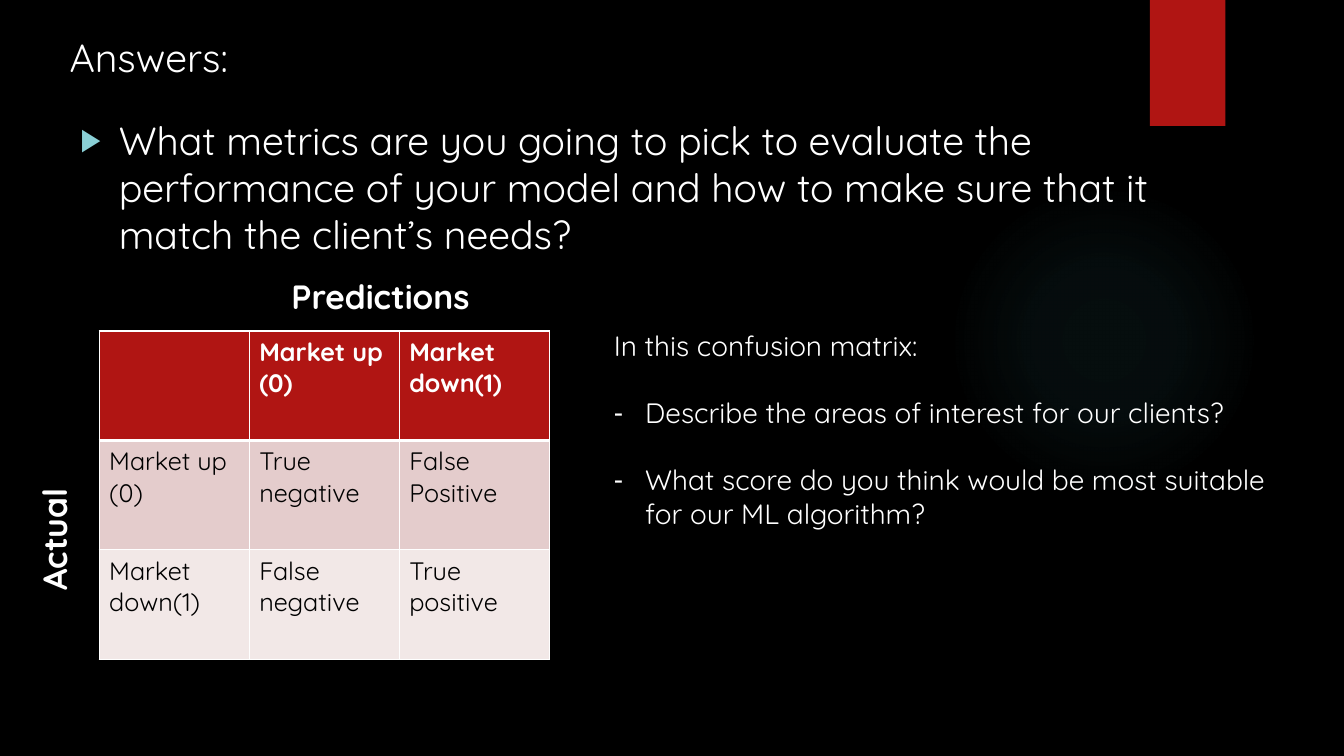
from dataclasses import dataclass

from lxml import etree
from pptx import Presentation
from pptx.dml.color import RGBColor
from pptx.enum.shapes import MSO_SHAPE
from pptx.oxml.ns import qn
from pptx.util import Inches, Pt

RECT, OVAL = MSO_SHAPE.RECTANGLE, MSO_SHAPE.OVAL
EMU = 12700


@dataclass(frozen=True)
class Theme:
    font: str = "Quicksand"
    back: str = "000000"
    ink: str = "FFFFFF"
    dark: str = "000000"
    teal: str = "50B9C1"
    red: str = "B01513"
    mark: str = "8AD0D6"
    bands: tuple = ("B01513", "E4CCCC", "F2E8E7")
    big: int = 28
    head: int = 24
    body: int = 20
    cell: int = 18


def sub(node, tag, **attrs):
    """Add a child element in the drawing namespace."""
    vals = {key: str(val) for key, val in attrs.items()}
    return etree.SubElement(node, qn("a:" + tag), vals)


class Deck:
    """Holds the style and the slide; lengths are cells of a 16 by 9 grid."""

    def __init__(self, theme):
        self.theme = theme
        self.prs = Presentation()
        self.prs.slide_width, self.prs.slide_height = Inches(13.333), Inches(7.5)
        self.slide = self.prs.slides.add_slide(self.prs.slide_layouts[6])
        self.paint(self.slide.background.fill, theme.back)

    def grid(self, x, y, w, h):
        col, row = self.prs.slide_width / 16, self.prs.slide_height / 9
        return [round(n * u) for n, u in zip((x, y, w, h), (col, row) * 2)]

    def paint(self, fill, color):
        fill.solid()
        fill.fore_color.rgb = RGBColor.from_string(color)

    def label(self, para, text, size, color=None, bold=False):
        run = para.add_run()
        run.text = text
        form = {"name": self.theme.font, "size": Pt(size), "bold": bold}
        for key, val in form.items():
            setattr(run.font, key, val)
        run.font.color.rgb = RGBColor.from_string(color or self.theme.ink)

    def shape(self, kind, box, color):
        item = self.slide.shapes.add_shape(kind, *self.grid(*box))
        item.shadow.inherit = False
        item.line.fill.background()
        self.paint(item.fill, color)
        return item

    def glow(self, box, color, stops):
        item = self.shape(OVAL, box, color)
        old = item._element.spPr.find(qn("a:solidFill"))
        grad = etree.Element(qn("a:gradFill"))
        steps = sub(grad, "gsLst")
        for pos, alpha in stops:
            tint = sub(sub(steps, "gs", pos=pos * 1000), "srgbClr", val=color)
            sub(tint, "alpha", val=alpha * 1000)
        mid = {side: 50000 for side in "ltrb"}
        sub(sub(grad, "path", path="circle"), "fillToRect", **mid)
        old.getparent().replace(old, grad)

    def bullet(self, para, sign, indent, color=None, scale=100):
        props = para._p.get_or_add_pPr()
        props.set("marL", str(Inches(indent)))
        props.set("indent", str(-Inches(indent)))
        if color:
            sub(sub(props, "buClr"), "srgbClr", val=color)
        sub(props, "buSzPct", val=scale * 1000)
        sub(props, "buFont", typeface="Arial")
        sub(props, "buChar", char=sign)

    def text(self, box, lines, size, bold=False, turn=0, gap=0, bullet=None):
        """Put one paragraph per line; bullet maps line numbers to bullets."""
        item = self.slide.shapes.add_textbox(*self.grid(*box))
        item.rotation = turn
        frame = item.text_frame
        frame.word_wrap = True
        for i, line in enumerate(lines):
            para = frame.add_paragraph() if i else frame.paragraphs[0]
            if i and gap:
                para.space_before = Pt(gap)
            if bullet and i in bullet:
                self.bullet(para, **bullet[i])
            self.label(para, line, size, bold=bold)

    def edges(self, cell, widths):
        props = cell._tc.get_or_add_tcPr()
        for side, width in widths.items():
            line = sub(props, "ln" + side, w=round(width * EMU))
            sub(sub(line, "solidFill"), "srgbClr", val=self.theme.ink)

    def table(self, box, rows):
        theme = self.theme
        size = len(rows), len(rows[0])
        table = self.slide.shapes.add_table(*size, *self.grid(*box)).table
        for r, row in enumerate(rows):
            head = r == 0
            for c, text in enumerate(row):
                cell = table.cell(r, c)
                # The rule under the header is thicker than the others
                top, low = 3 if r == 1 else 1, 3 if head else 1
                self.edges(cell, {"L": 1, "R": 1, "T": top, "B": low})
                self.paint(cell.fill, theme.bands[r])
                if text:
                    ink = theme.ink if head else theme.dark
                    para = cell.text_frame.paragraphs[0]
                    self.label(para, text, theme.cell, ink, head)


def main():
    theme = Theme()
    deck = Deck(theme)

    # Backdrop
    deck.glow((11.29, 2.2, 3.7, 3.7), theme.teal, [(0, 7), (36, 6), (69, 0)])
    deck.shape(RECT, (13.69, 0, 0.9, 1.5), theme.red)

    # Heading and question
    deck.text((0.71, 0.34, 5.28, 0.68), ["Answers:"], theme.big)
    arrow = {"sign": "▶", "indent": 0.38, "color": theme.mark, "scale": 80}
    deck.text((0.84, 1.32, 13.8, 1.92), [
        "What metrics are you going to pick to evaluate the performance of "
        "your model and how to make sure that it match the client’s needs?",
    ], theme.big, bullet={0: arrow})

    # Confusion matrix with its axis names
    up, down = "Market up (0)", "Market down(1)"
    deck.table((1.18, 3.94, 5.36, 3.91), [
        ["", up, down],
        [up, "True negative", "False Positive"],
        [down, "False negative", "True positive"],
    ])
    deck.text((3.35, 3.23, 2.45, 0.6), ["Predictions"], theme.head, bold=True)
    deck.text((-0.68, 5.53, 2.64, 0.6), ["Actual"], theme.head, bold=True, turn=270)

    # Tasks
    dash = {"sign": "-", "indent": 0.31}
    deck.text((7.19, 3.85, 8.48, 3.28), [
        "In this confusion matrix:",
        "Describe the areas of interest for our clients?",
        "What score do you think would be most suitable for our ML algorithm?",
    ], theme.body, gap=24, bullet={1: dash, 2: dash})

    deck.prs.save("out.pptx")


if __name__ == "__main__":
    main()
